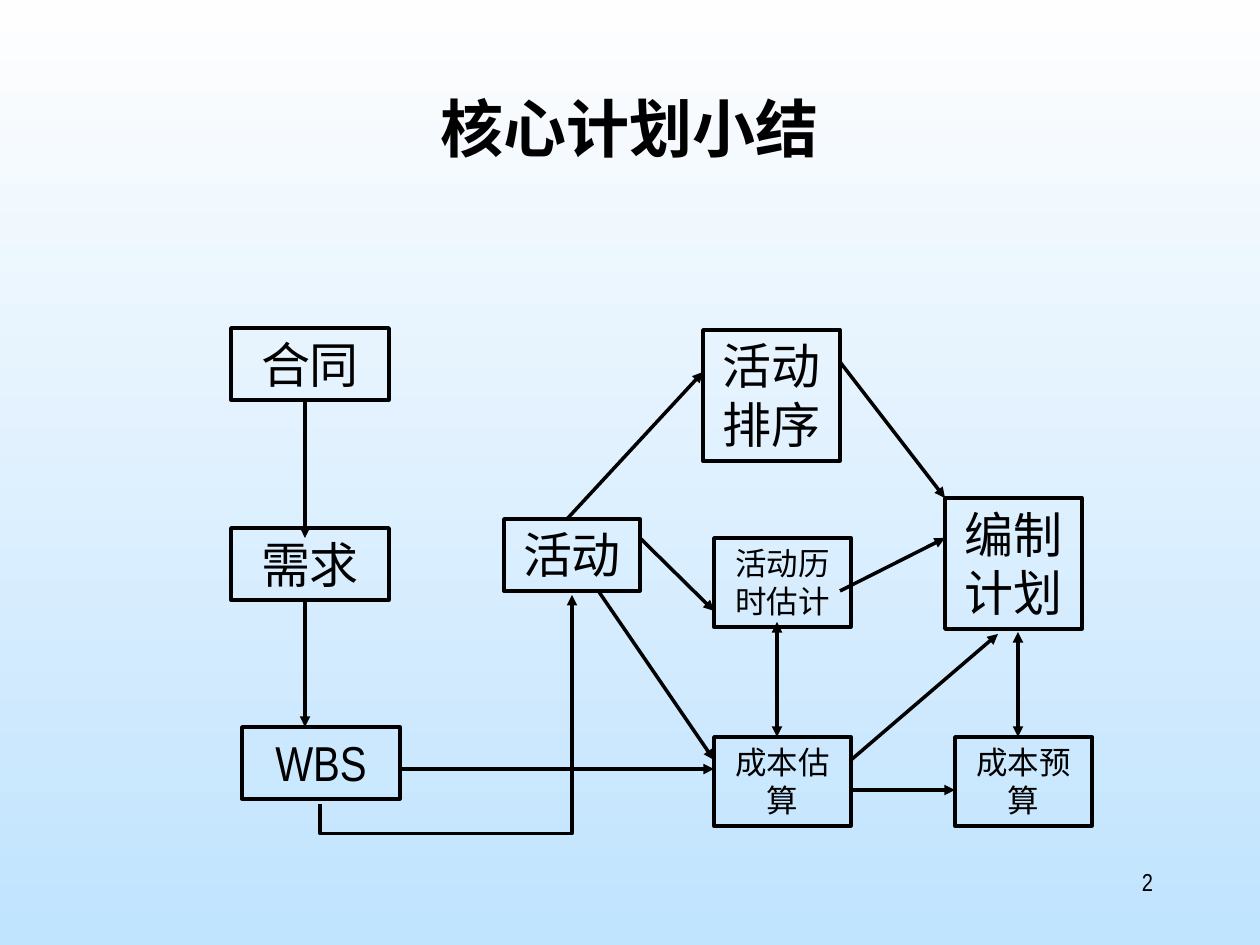
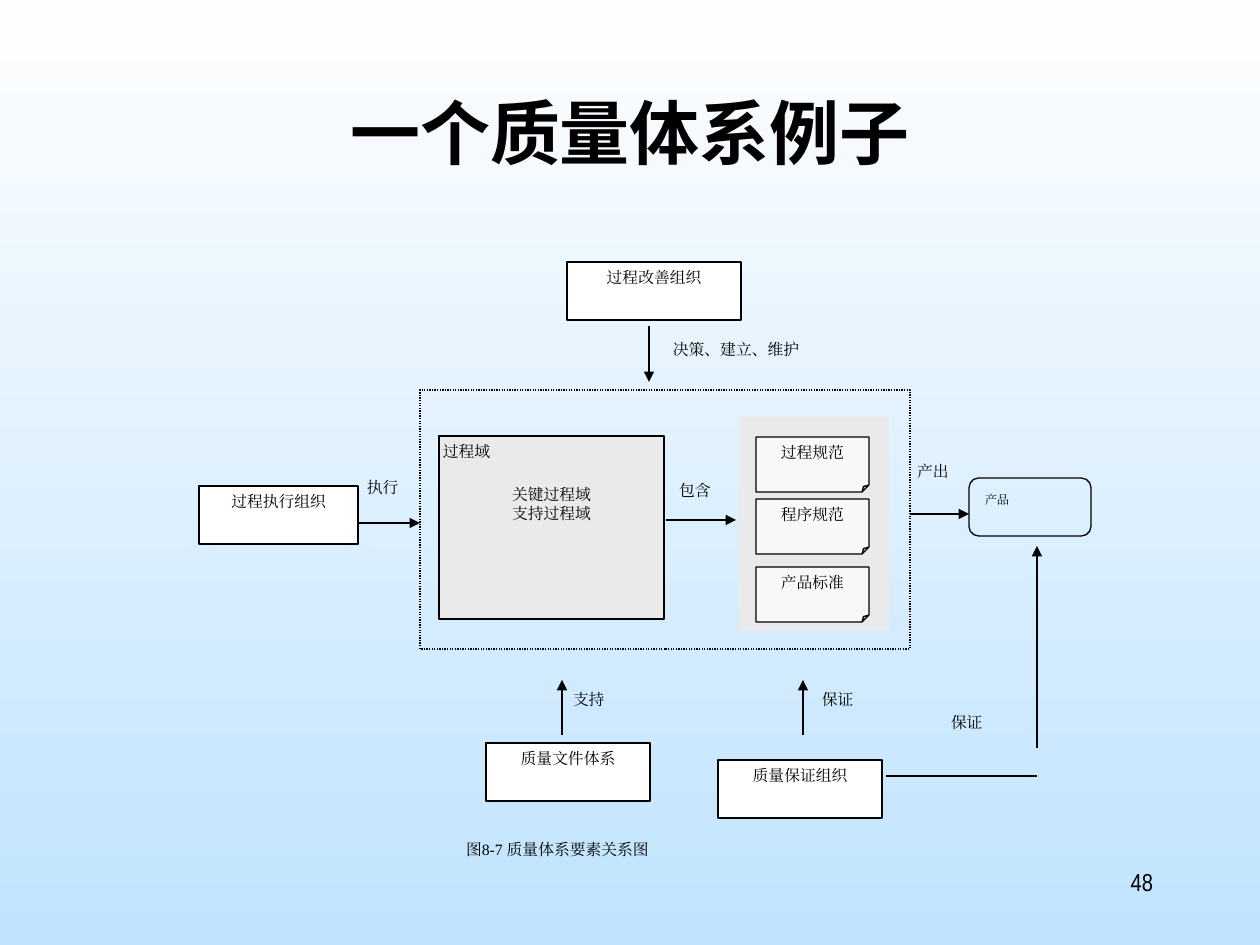
import pptx
import pptx.dml.color
import pptx.enum.dml
import pptx.enum.shapes
import pptx.enum.text
import pptx.oxml
import pptx.oxml.ns
import pptx.util

COLOURS = {"ink": "000000", "sky_top": "FEFEFE", "sky_bottom": "C0E3FE",
           "paper": "FFFFFF", "panel": "EAEAEA", "sheet": "F8F8F8"}
NARROW, SERIF, SANS = "Arial Narrow", "Times New Roman", "Noto Sans CJK SC"
PX = 914400 / 126
SHAPE = pptx.enum.shapes.MSO_SHAPE
LINK = pptx.enum.shapes.MSO_CONNECTOR
ALIGN = pptx.enum.text.PP_ALIGN

# Boxes and labels: text, (left, top, width, height); lines: start, end, in px
PLAN = {
    "title": ("核心计划小结", 36),
    "page": "2",
    "large": [
        ("合同", (231, 328, 158, 72)),
        ("需求", (231, 528, 158, 72)),
        ("WBS", (242, 727, 158, 72)),
        ("活动", (504, 519, 136, 72)),
        ("活动排序", (703, 330, 137, 131)),
        ("编制计划", (945, 498, 137, 131)),
    ],
    "small": [
        ("活动历时估计", (714, 538, 137, 89)),
        ("成本估算", (714, 737, 137, 89)),
        ("成本预算", (955, 737, 137, 89)),
    ],
    "arrows": [
        ((305, 402), (305, 538)), ((305, 601), (305, 727)),
        ((567, 519), (703, 372)), ((599, 592), (714, 760)),
        ((640, 538), (714, 611)), ((840, 362), (945, 498)),
        ((840, 591), (945, 538)), ((851, 760), (998, 634)),
        ((851, 790), (955, 790)), ((400, 769), (714, 769)),
    ],
    "two_way": [((1018, 737), (1018, 632)), ((777, 737), (777, 622))],
    "wbs_to_activity": ((320, 804), (572, 595), -0.142),
}
QUALITY = {
    "title": ("一个质量体系例子", 40),
    "page": "48",
    "system": (420, 390, 490, 259),
    "standards_panel": (739, 417, 150, 214),
    "standards": [("过程规范", 437), ("程序规范", 499), ("产品标准", 567)],
    "organisations": [
        ("过程改善组织", (567, 262, 174, 58)),
        ("过程执行组织", (199, 486, 159, 58)),
        ("质量文件体系", (486, 743, 164, 58)),
        ("质量保证组织", (718, 760, 164, 58)),
    ],
    "domain": ("关键过程域\n支持过程域", (439, 436, 225, 183)),
    "product": ("产品", (969, 478, 122, 58)),
    "labels": [
        ("过程域", (443, 442, 126, 38)),
        ("决策、建立、维护", (673, 340, 189, 45)),
        ("执行", (367, 478, 54, 40)),
        ("包含", (679, 481, 54, 37)),
        ("产出", (917, 462, 54, 37)),
        ("支持", (573, 690, 54, 43)),
        ("保证", (822, 690, 54, 43)),
        ("保证", (951, 713, 54, 43)),
    ],
    "caption": ("图8-7 质量体系要素关系图", (466, 834, 285, 58)),
    "arrows": [
        ((649, 326), (649, 382)), ((359, 523), (420, 523)),
        ((666, 520), (736, 520)), ((910, 514), (969, 514)),
        ((562, 735), (562, 680)), ((803, 735), (803, 680)),
    ],
    "assurance_run": ((886, 776), (1037, 776)),
    "assurance_rise": ((1037, 748), (1037, 546)),
}


def emu(*lengths):
    return [round(length * PX) for length in lengths]


def rgb(key):
    return pptx.dml.color.RGBColor.from_string(COLOURS[key])


def write(shape, text, size, font, align=ALIGN.CENTER, inset=(13, 6), bold=False, ea=None):
    """Fill the shape's text frame; inset is (sides, top)."""
    frame = shape.text_frame
    frame.word_wrap = True
    frame.vertical_anchor = pptx.enum.text.MSO_ANCHOR.TOP
    side, top = emu(*inset)
    frame.margin_left = frame.margin_right = side
    frame.margin_top, frame.margin_bottom = top, min(top, round(6 * PX))
    frame.text = text
    for paragraph in frame.paragraphs:
        paragraph.alignment = align
        for run in paragraph.runs:
            run.font.size = pptx.util.Pt(size)
            run.font.bold = bold
            run.font.name = font
            run.font.color.rgb = rgb("ink")
            east_asian = pptx.oxml.parse_xml(
                f'<a:ea {pptx.oxml.ns.nsdecls("a")} typeface="{ea or font}"/>')
            run._r.get_or_add_rPr().append(east_asian)


def add_text(slide, text, area, size, font, **style):
    write(slide.shapes.add_textbox(*emu(*area)), text, size, font, **style)


def set_adjustment(shape, name, ratio):
    """Write one preset-shape adjustment that the public list does not offer."""
    geometry = shape._element.spPr.find(pptx.oxml.ns.qn("a:prstGeom"))
    for old in list(geometry):
        geometry.remove(old)
    geometry.append(pptx.oxml.parse_xml(
        f'<a:avLst {pptx.oxml.ns.nsdecls("a")}>'
        f'<a:gd name="{name}" fmla="val {round(ratio * 100000)}"/></a:avLst>'))


def add_box(slide, area, fill=None, line=0.75, kind=SHAPE.RECTANGLE):
    box = slide.shapes.add_shape(kind, *emu(*area))
    box.shadow.inherit = False
    if fill:
        box.fill.solid()
        box.fill.fore_color.rgb = rgb(fill)
    else:
        box.fill.background()
    if line:
        box.line.color.rgb = rgb("ink")
        box.line.width = pptx.util.Pt(line)
    else:
        box.line.fill.background()
    return box


def add_line(slide, start, end, width, heads=("tailEnd",), kind=LINK.STRAIGHT):
    """heads names the arrow ends: headEnd at start, tailEnd at end."""
    connector = slide.shapes.add_connector(kind, *emu(*start, *end))
    connector.line.color.rgb = rgb("ink")
    connector.line.width = pptx.util.Pt(width)
    namespace = pptx.oxml.ns.nsdecls("a")
    for head in heads:
        connector.line._get_or_add_ln().append(
            pptx.oxml.parse_xml(f'<a:{head} {namespace} type="triangle"/>'))
    connector._element.spPr.append(pptx.oxml.parse_xml(f"<a:effectLst {namespace}/>"))
    return connector


def add_upright_elbow(slide, start, end, bend, width):
    """Elbow that leaves and arrives vertically: a level one turned by 90 degrees."""
    mid_x, mid_y = (start[0] + end[0]) / 2, (start[1] + end[1]) / 2
    turned = [(mid_x + y - mid_y, mid_y - (x - mid_x)) for x, y in (start, end)]
    elbow = add_line(slide, *turned, width, kind=LINK.ELBOW)
    elbow._element.spPr.find(pptx.oxml.ns.qn("a:xfrm")).set("rot", "5400000")
    set_adjustment(elbow, "adj1", bend)


def start_slide(deck, content):
    """Blank slide with the shared sky background, title and page number."""
    slide = deck.slides.add_slide(deck.slide_layouts[6])
    sky = slide.background.fill
    sky.gradient()
    sky.gradient_angle = 270
    for stop, key, position in zip(sky.gradient_stops, ("sky_top", "sky_bottom"), (0, 1)):
        stop.color.rgb = rgb(key)
        stop.position = position
    title, size = content["title"]
    add_text(slide, title, (94, 84, 1072, 158), size, NARROW, bold=True)
    add_text(slide, content["page"], (903, 861, 263, 63), 14, NARROW, align=ALIGN.RIGHT)
    return slide


def build_plan(deck):
    slide = start_slide(deck, PLAN)
    for group, size in (("large", 28), ("small", 18)):
        for text, area in PLAN[group]:
            write(add_box(slide, area, line=2), text, size, NARROW)
    for start, end in PLAN["arrows"]:
        add_line(slide, start, end, 2)
    for start, end in PLAN["two_way"]:
        add_line(slide, start, end, 2, heads=("headEnd", "tailEnd"))
    add_upright_elbow(slide, *PLAN["wbs_to_activity"], 2)


def build_quality(deck):
    slide = start_slide(deck, QUALITY)
    system = add_box(slide, QUALITY["system"])
    system.line.dash_style = pptx.enum.dml.MSO_LINE.ROUND_DOT
    add_box(slide, QUALITY["standards_panel"], "panel", line=0)
    for text, top in QUALITY["standards"]:
        sheet = add_box(slide, (756, top, 113, 55), "sheet", kind=SHAPE.FOLDED_CORNER)
        set_adjustment(sheet, "adj", 0.125)
        write(sheet, text, 9, SERIF, inset=(0, 6))
    for text, area in QUALITY["organisations"]:
        write(add_box(slide, area, "paper"), text, 9, SERIF, inset=(0, 6))
    text, area = QUALITY["domain"]
    write(add_box(slide, area, "panel"), text, 9, SERIF, inset=(13, 49))
    text, area = QUALITY["product"]
    product = add_box(slide, area, kind=SHAPE.ROUNDED_RECTANGLE)
    write(product, text, 7, SERIF, align=ALIGN.JUSTIFY, inset=(13, 11))
    for text, area in QUALITY["labels"]:
        add_text(slide, text, area, 9, SANS, ea=SERIF, align=ALIGN.JUSTIFY, inset=(0, 0))
    add_text(slide, *QUALITY["caption"], 9, SERIF, align=ALIGN.JUSTIFY, inset=(0, 6))
    for start, end in QUALITY["arrows"]:
        add_line(slide, start, end, 0.75)
    add_line(slide, *QUALITY["assurance_run"], 1.25, heads=())
    add_line(slide, *QUALITY["assurance_rise"], 1.25)


def main():
    deck = pptx.Presentation()
    deck.slide_width, deck.slide_height = emu(1260, 945)
    build_plan(deck)
    build_quality(deck)
    deck.save("out.pptx")


if __name__ == "__main__":
    main()
